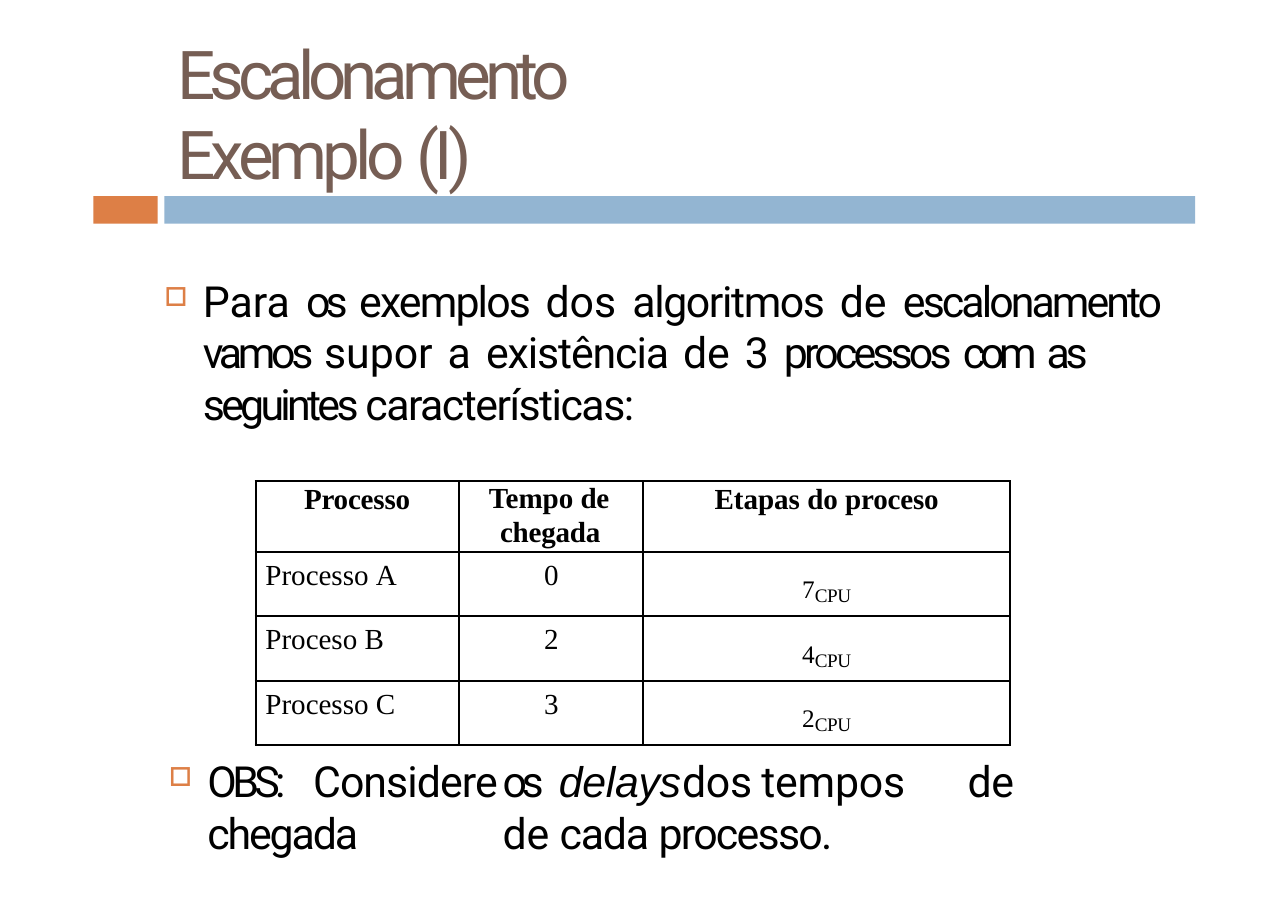
from lxml.etree import SubElement
from pptx import Presentation
from pptx.dml.color import RGBColor
from pptx.enum.shapes import MSO_SHAPE as Shape
from pptx.enum.text import PP_ALIGN as Align
from pptx.oxml import parse_xml
from pptx.oxml.ns import nsdecls, qn
from pptx.util import Pt

ORANGE, BLUE, BROWN, BLACK = "DD7F46", "93B5D2", "765E54", "000000"
SERIF = "Times New Roman"
TITLE = [("Escalonamento ", -4), ("Exemplo ", -3.4), ("(I)", -3.1)]
INTRO = [("Para ", 0), ("os ", -3.2), ("exemplos ", -1.2), ("dos ", 0),
         ("algoritmos ", -0.9), ("de ", 0), ("escalonamento \t", -1.9),
         ("vamos ", -2.8), ("supor a ", 0), ("existência ", -0.7),
         ("de 3 ", 0), ("processos ", -2.5), ("com ", -3.4),
         ("as \t", -2.8), ("seguintes ", -2.4), ("características:", -1)]
NOTE = [("OBS:\t", -3), ("Considere\t", -0.6), ("os\t", -3.5),
        ("delays\t", -0.2, {"font": "Arial", "italic": True}),
        ("dos\t", -0.2), ("tempos\t", -0.1), ("de\t", -0.2),
        ("chegada \t", -1.4), ("de ", -0.1), ("cada ", -0.8),
        ("processo.", -1.1)]
HEADS = [([("Processo", -0.1)], {"left": 31.7, "line": Pt(22.6)}),
         ([("Tempo ", 0), ("de ", -0.2), ("chegada", -0.1)],
          {"left": 26.6, "indent": -7.2, "line": Pt(22), "before": 0.8}),
         ([("Etapas do ", 0), ("proceso", -0.1)],
          {"align": Align.CENTER, "line": Pt(22.6)})]
ROWS = [("Processo ", "A", "0", "7"), ("Proceso ", "B", "2", "4"),
        ("Processo ", "C", "3", "2")]


def color(code):
    """Turn a hex string into a colour."""
    return RGBColor.from_string(code)


def write(para, text, space=0, size=28, font="Roboto", ink=BLACK,
          bold=False, italic=False, base=None):
    """Add one formatted run to a paragraph."""
    run = para.add_run()
    run.text = text
    face = run.font
    face.size, face.name, face.bold, face.italic = Pt(size), font, bold, italic
    face.color.rgb = color(ink)
    props = run._r.get_or_add_rPr()
    props.set("spc", str(round(space * 100)))
    if base is not None:
        props.set("baseline", str(base * 1000))


def fill(frame, runs, top=0, left=0, indent=0, align=Align.LEFT, line=None,
         before=0, **look):
    """Lay out the frame's paragraph and write its runs."""
    frame.word_wrap = True
    frame.margin_left = frame.margin_right = frame.margin_bottom = 0
    frame.margin_top = Pt(top)
    para = frame.paragraphs[0]
    para.alignment, para.line_spacing = align, line
    para.space_before = Pt(before)
    props = para._p.get_or_add_pPr()
    props.set("marL", str(Pt(left)))
    props.set("indent", str(Pt(indent)))
    for text, space, *more in runs:
        write(para, text, space, **{**look, **(more[0] if more else {})})
    return para


def label(slide, box, runs, **form):
    """Add a text box and return its paragraph."""
    shape = slide.shapes.add_textbox(*map(Pt, box))
    return fill(shape.text_frame, runs, **form)


def bullet(para, tabs):
    """Give a paragraph a square bullet and tab stops."""
    props = para._p.get_or_add_pPr()
    tint = SubElement(props, qn("a:buClr"))
    SubElement(tint, qn("a:srgbClr"), val=ORANGE)
    SubElement(props, qn("a:buSzPct"), val="61000")
    SubElement(props, qn("a:buChar"), char="□")
    stops = SubElement(props, qn("a:tabLst"))
    for tab in tabs:
        SubElement(stops, qn("a:tab"), pos=str(Pt(tab)), algn="l")


def bar(slide, left, width):
    """Add one part of the coloured rule below the title."""
    shape = slide.shapes.add_shape(Shape.RECTANGLE, *map(Pt, (left, 128.2, width, 18)))
    shape.shadow.inherit = False
    shape.fill.solid()
    shape.line.fill.background()
    return shape.fill.fore_color


def border(cell):
    """Draw a thin black line on all sides of a cell."""
    cell.fill.background()
    props = cell._tc.get_or_add_tcPr()
    for place, side in enumerate("LRTB"):
        props.insert(place, parse_xml(
            f'<a:ln{side} {nsdecls("a")} w="{Pt(1.5)}"><a:solidFill>'
            f'<a:srgbClr val="{BLACK}"/></a:solidFill></a:ln{side}>'))


def put(cell, runs, top=0, **form):
    """Fill and frame one table cell."""
    cell.margin_left = cell.margin_right = cell.margin_bottom = 0
    cell.margin_top = Pt(top)
    fill(cell.text_frame, runs, size=19, font=SERIF, **form)
    cell.margin_top = Pt(top)
    border(cell)


def grid(slide):
    """Add the table of processes."""
    table = slide.shapes.add_table(4, 3, *map(Pt, (167, 314.6, 493.2, 152))).table
    table.first_row = table.horz_banding = False
    for col, width in zip(table.columns, (133.2, 120.2, 239.8)):
        col.width = Pt(width)
    for row, height in zip(table.rows, (46, 35.3, 35.3, 35.3)):
        row.height = Pt(height)
    for col, (runs, form) in enumerate(HEADS):
        put(table.cell(0, col), runs, bold=True, **form)
    for row, (name, mark, start, steps) in enumerate(ROWS, 1):
        put(table.cell(row, 0), [(name, 0), (mark, -0.5)], 5, left=6.5, before=5.2)
        put(table.cell(row, 1), [(start, -0.5)], 5, align=Align.CENTER, before=5.2)
        put(table.cell(row, 2), [(steps, -0.3, {"size": 28.5, "base": 9}),
                                 ("CPU", -0.2, {"size": 12.5})],
            8, align=Align.CENTER, before=8.2)


def main():
    """Build and save the slide."""
    deck = Presentation()
    deck.slide_width, deck.slide_height = Pt(841.7), Pt(594.7)
    slide = deck.slides.add_slide(deck.slide_layouts[6])
    bar(slide, 61, 42).rgb = color(ORANGE)
    bar(slide, 107.5, 673.5).rgb = color(BLUE)
    label(slide, (115.2, 18.7, 257, 107.3), TITLE, top=2.2, left=0.9,
          line=Pt(52.7), before=2.1, size=44, ink=BROWN)
    grid(slide)
    form = {"top": 0.9, "left": 26, "indent": -25.2, "before": 0.8}
    intro = label(slide, (106.6, 178.6, 635.8, 103), INTRO,
                  align=Align.JUSTIFY, line=1.0, **form)
    bullet(intro, [26])
    note = label(slide, (109.6, 491.8, 622.8, 69), NOTE, line=1.01, **form)
    bullet(note, [26, 95, 218.9, 255.6, 336.2, 388, 480.2, 522.7])
    deck.save("out.pptx")


if __name__ == "__main__":
    main()
